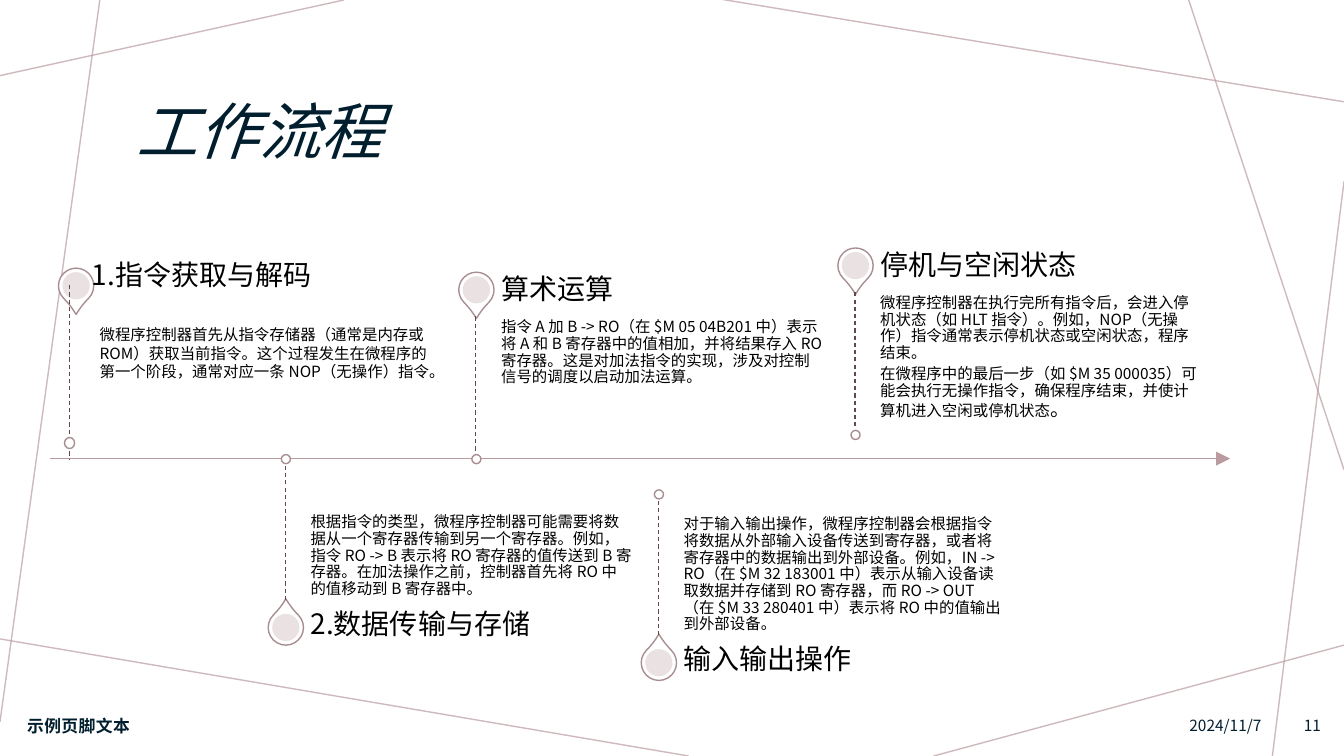
"""Workflow slide: a timeline with five pinned steps above and below an arrow."""
from lxml.etree import SubElement
from pptx import Presentation
from pptx.dml.color import RGBColor
from pptx.enum.dml import MSO_LINE
from pptx.enum.shapes import MSO_CONNECTOR, MSO_SHAPE
from pptx.enum.text import MSO_ANCHOR as ANCHOR, PP_ALIGN as ALIGN
from pptx.oxml.ns import qn
from pptx.util import Pt

PX = 9144
FONT = "Noto Sans CJK SC"
BLACK, NAVY, WHITE = "000000", "001E2E", "FFFFFF"
ROSE, OUTLINE, STEM, DISC = "BA9CA0", "A98E91", "65464A", "E7DEDF"
STEM_LENGTH = 141

FRAME_LINES = [
    (341, 0, 0, 75), (99, 0, 0, 716), (683, 750, -5, 633), (1333, 640, 926, 750),
    (1333, 180, 1262, 750), (1333, 466, 1179, 0), (1333, 101, 714, -1),
]
FETCH = "微程序控制器首先从指令存储器（通常是内存或ROM）获取当前指令。这个过程发生在微程序的第一个阶段，通常对应一条 NOP（无操作）指令。"
STEPS = [
    (283, 455, False, "2.数据传输与存储",
     "根据指令的类型，微程序控制器可能需要将数据从一个寄存器传输到另一个寄存器。例如，指令 RO -> B 表示将 RO 寄存器的值传送到 B 寄存器。"
     "在加法操作之前，控制器首先将 RO 中的值移动到 B 寄存器中。"),
    (472, 314, True, "算术运算",
     "指令 A 加 B -> RO（在 $M 05 04B201 中）表示将 A 和 B 寄存器中的值相加，并将结果存入 RO 寄存器。"
     "这是对加法指令的实现，涉及对控制信号的调度以启动加法运算。"),
    (653, 490, False, "输入输出操作",
     "对于输入输出操作，微程序控制器会根据指令将数据从外部输入设备传送到寄存器，或者将寄存器中的数据输出到外部设备。"
     "例如，IN -> RO（在 $M 32 183001 中）表示从输入设备读取数据并存储到 RO 寄存器，"
     "而 RO -> OUT（在 $M 33 280401 中）表示将 RO 中的值输出到外部设备。"),
    (848, 290, True, "停机与空闲状态",
     "微程序控制器在执行完所有指令后，会进入停机状态（如 HLT 指令）。例如，NOP（无操作）指令通常表示停机状态或空闲状态，程序结束。\n"
     "在微程序中的最后一步（如 $M 35 000035）可能会执行无操作指令，确保程序结束，并使计算机进入空闲或停机状态"),
]


def px(*lengths):
    """Turn pixel lengths into EMU."""
    return [n * PX for n in lengths]


def rgb(value):
    """Turn a hex string into a colour."""
    return RGBColor.from_string(value)


def fade(sp, percent):
    """Set the opacity of the colours of a shape."""
    for clr in sp._element.spPr.iter(qn("a:srgbClr")):
        SubElement(clr, qn("a:alpha"), val=str(percent * 1000))


def add_run(p, text, size=11, color=BLACK, bold=None, italic=None, spacing=None):
    """Append a formatted run to a paragraph."""
    r = p.add_run()
    r.text = text
    r.font.size, r.font.name = Pt(size), FONT
    r.font.bold, r.font.italic = bold, italic
    r.font.color.rgb = rgb(color)
    rPr = r._r.get_or_add_rPr()
    SubElement(rPr, qn("a:ea"), typeface=FONT)
    if spacing:
        rPr.set("spc", str(spacing))


def add_text(s, box, text, anchor=ANCHOR.MIDDLE, align=ALIGN.LEFT, insets=(10, 5),
             line=None, after=0, **font):
    """Add a wrapped text box and return its text frame."""
    tf = s.shapes.add_textbox(*px(*box)).text_frame
    tf.word_wrap, tf.vertical_anchor = True, anchor
    tf.margin_left = tf.margin_right = insets[0] * PX
    tf.margin_top = tf.margin_bottom = insets[1] * PX
    for i, part in enumerate(text.split("\n")):
        p = tf.add_paragraph() if i else tf.paragraphs[0]
        p.alignment, p.line_spacing, p.space_after = align, line, Pt(after)
        add_run(p, part, **font)
    return tf


def add_line(s, ends, color=ROSE, width=1, dash=None, opacity=None, arrow=False):
    """Add a straight line."""
    c = s.shapes.add_connector(MSO_CONNECTOR.STRAIGHT, *px(*ends))
    c.line.color.rgb, c.line.width = rgb(color), Pt(width)
    if dash:
        c.line.dash_style = dash
    if opacity:
        fade(c, opacity)
    if arrow:
        SubElement(c.line._get_or_add_ln(), qn("a:tailEnd"), type="triangle", w="lg", len="lg")
    SubElement(c._element.spPr, qn("a:effectLst"))


def add_mark(s, kind, box, fill=WHITE, outline=OUTLINE):
    """Add a filled preset shape."""
    sp = s.shapes.add_shape(kind, *px(*box))
    sp.shadow.inherit = False
    sp.fill.solid()
    sp.fill.fore_color.rgb = rgb(fill)
    if outline:
        sp.line.color.rgb, sp.line.width = rgb(outline), Pt(1)
    else:
        sp.line.fill.background()
    return sp


def add_pin(s, x, y, up):
    """Add a map pin, its point down when the step is above the arrow."""
    drop = add_mark(s, MSO_SHAPE.TEAR, (x, y, 35, 35))
    drop.adjustments[0] = 1.15
    drop.rotation = 135 if up else 315
    fade(add_mark(s, MSO_SHAPE.OVAL, (x + 4, y + 4, 27, 27), DISC, None), 90)


def add_heading(s, box, text):
    """Add the heading of a step."""
    add_text(s, box, text, insets=(0, 0), line=0.9, size=20)


def add_stem(s, x, top, bottom):
    """Add the dashed stem of a step."""
    add_line(s, (x, top, x, bottom), STEM, 0.75, MSO_LINE.DASH)


def add_step(s, x, top, up, heading, body):
    """Add a whole step and return the text frame of its body."""
    bottom = top + STEM_LENGTH
    add_pin(s, x - 17, top - 44 if up else top + 150, up)
    tf = add_text(s, (x + 25, top, 319, STEM_LENGTH), body, insets=(0, 3), line=0.9, after=3,
                  anchor=ANCHOR.TOP if up else ANCHOR.BOTTOM)
    add_heading(s, (x + 25, top - 50 if up else bottom, 319, 49), heading)
    add_stem(s, x, top, bottom)
    add_mark(s, MSO_SHAPE.OVAL, (x - 4, (bottom if up else top) - 4, 9, 9))
    return tf


def add_title(s, box, text):
    """Place and fill the title placeholder."""
    sp = s.shapes.title
    sp.left, sp.top, sp.width, sp.height = px(*box)
    tf = sp.text_frame
    tf.vertical_anchor = ANCHOR.MIDDLE
    p = tf.paragraphs[0]
    p.alignment, p.line_spacing = ALIGN.LEFT, 0.9
    add_run(p, text, size=44, color=NAVY, italic=True)


def main():
    """Build and save the slide."""
    prs = Presentation()
    prs.slide_width, prs.slide_height = px(1333, 750)
    s = prs.slides.add_slide(prs.slide_layouts[5])
    for ends in FRAME_LINES:
        add_line(s, ends, opacity=70)
    add_title(s, (125, 58, 1083, 151), "工作流程")
    add_line(s, (50, 455, 1220, 455), arrow=True)

    add_pin(s, 58, 266, True)
    add_heading(s, (91, 244, 347, 61), "1.指令获取与解码")
    add_stem(s, 69, 283, 456)
    add_mark(s, MSO_SHAPE.OVAL, (64, 434, 10, 11))
    add_text(s, (89, 318, 347, 84), FETCH, anchor=ANCHOR.TOP)

    for step in STEPS:
        tf = add_step(s, *step)
    add_run(tf.paragraphs[-1], "。", size=14)

    add_text(s, (17, 700, 492, 40), "示例页脚文本", size=12, color=NAVY, bold=True, spacing=30)
    add_text(s, (802, 700, 459, 40), "2024/11/7", align=ALIGN.RIGHT, color=NAVY)
    add_text(s, (1269, 700, 51, 40), "11", align=ALIGN.RIGHT, color=NAVY)
    prs.save("out.pptx")


if __name__ == "__main__":
    main()
